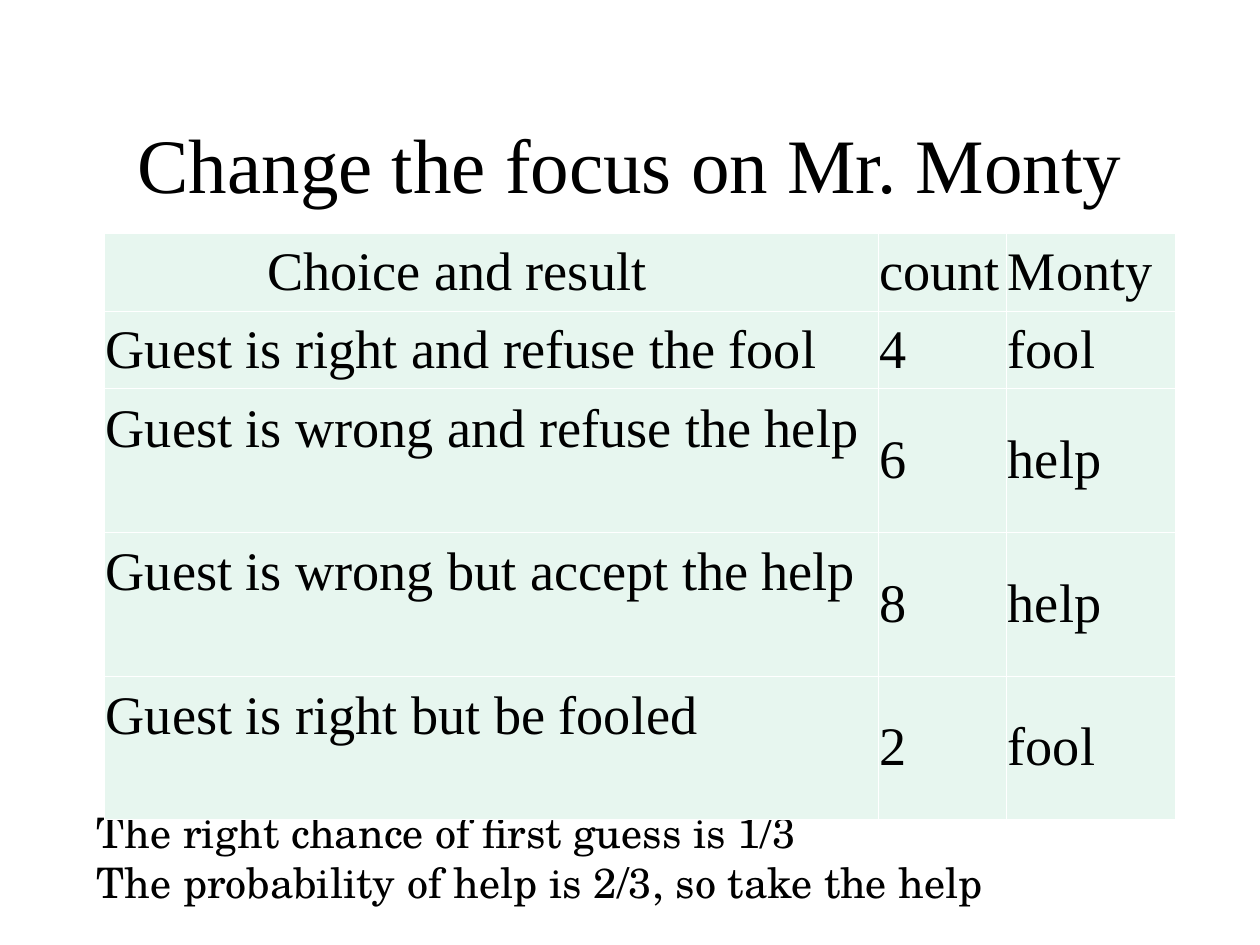
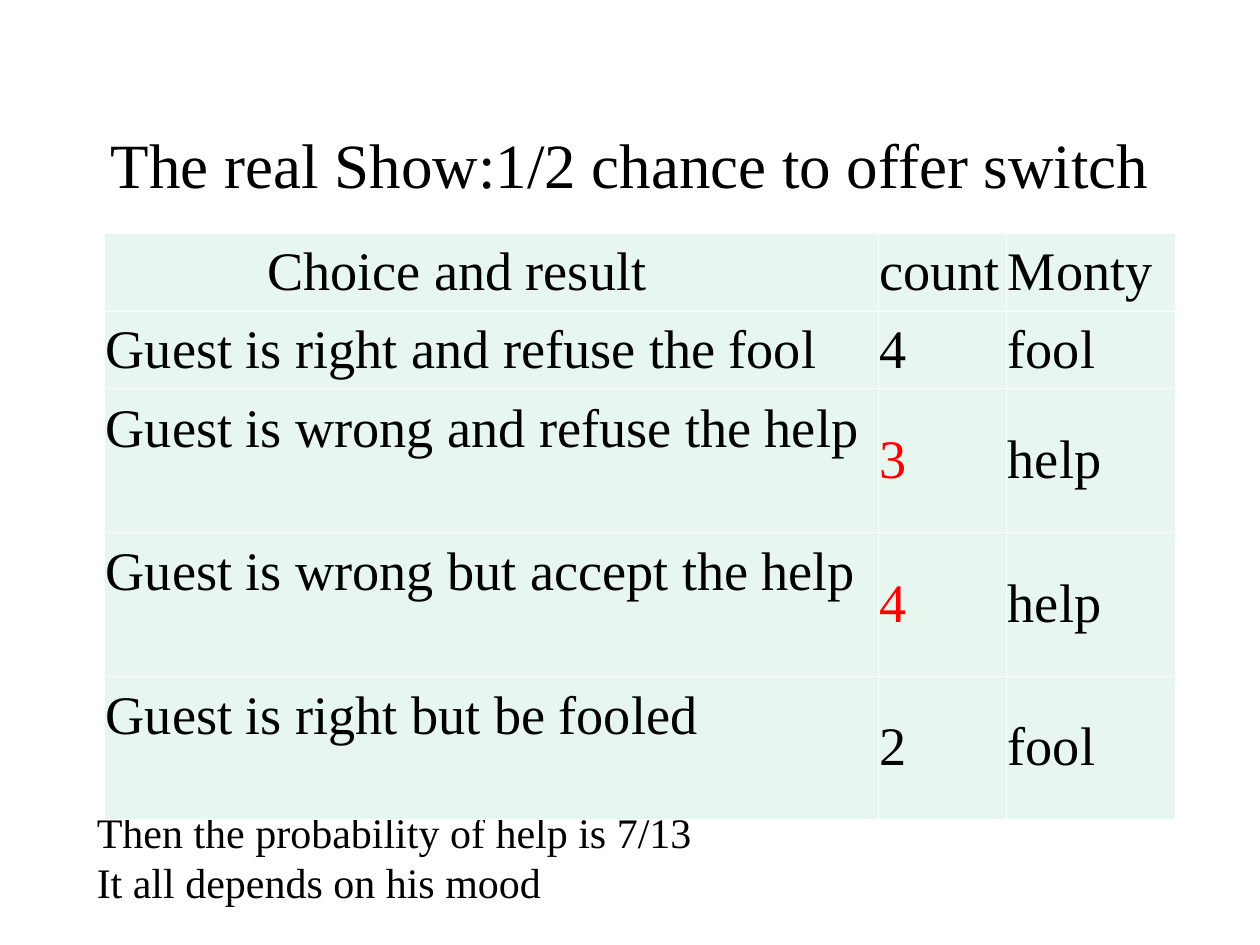
"""Builds two slides that count the outcomes of the Monty Hall game."""
from dataclasses import dataclass

from lxml import etree
from pptx import Presentation
from pptx.dml.color import RGBColor
from pptx.enum.text import MSO_ANCHOR, MSO_AUTO_SIZE, PP_ALIGN
from pptx.oxml.ns import qn
from pptx.util import Inches, Pt

MIDDLE = MSO_ANCHOR.MIDDLE
TOP = MSO_ANCHOR.TOP
CENTER = PP_ALIGN.CENTER
LEFT = PP_ALIGN.LEFT
NO_FIT = MSO_AUTO_SIZE.NONE
GROW = MSO_AUTO_SIZE.SHAPE_TO_FIT_TEXT
TITLE_ONLY = 5


@dataclass(frozen=True)
class Theme:
    font: str = "Times New Roman"
    book_font: str = "TeX Gyre Schola"
    ink: str = "000000"
    accent: str = "FF0000"
    cell: str = "E7F6EF"
    border: str = "FFFFFF"
    title_size: float = 44
    long_title_size: float = 36
    table_size: float = 31
    note_size: float = 24
    note_leading: float = 28.8
    border_width: float = 0.45


THEME = Theme()
COLUMN_WIDTHS = (6.14, 1.02, 1.34)
LOW_ROW, HIGH_ROW = 0.61, 1.14
ROW_HEIGHTS = (LOW_ROW, LOW_ROW, HIGH_ROW, HIGH_ROW, HIGH_ROW)
HEADER = ("Choice and result", "count", "Monty")
OUTCOMES = (
    ("Guest is right and refuse the fool", "fool"),
    ("Guest is wrong and refuse the help", "help"),
    ("Guest is wrong but accept the help", "help"),
    ("Guest is right but be fooled", "fool"),
)


class SlideBuilder:
    def __init__(self, deck, theme):
        self.deck = deck
        self.theme = theme
        self.page = None

    def new_page(self):
        self.page = self.deck.slides.add_slide(self.deck.slide_layouts[TITLE_ONLY])

    def add_span(self, para, text, size, font=None, color=None):
        span = para.add_run()
        span.text = text
        span.font.size = Pt(size)
        span.font.name = font or self.theme.font
        span.font.color.rgb = RGBColor.from_string(color or self.theme.ink)

    def title(self, text, size):
        box = self.page.shapes.title
        box.left, box.top = Inches(0.75), Inches(0.67)
        box.width, box.height = Inches(8.5), Inches(1.25)
        frame = box.text_frame
        frame.auto_size = NO_FIT
        frame.vertical_anchor = MIDDLE
        para = frame.paragraphs[0]
        para.alignment = CENTER
        self.add_span(para, text, size)

    def note(self, lines, font):
        box = self.page.shapes.add_textbox(
            Inches(0.67), Inches(6.35), Inches(8.66), Inches(0.9))
        frame = box.text_frame
        frame.word_wrap = True
        frame.auto_size = GROW
        for number, line in enumerate(lines):
            para = frame.add_paragraph() if number else frame.paragraphs[0]
            para.alignment = LEFT
            para.line_spacing = Pt(self.theme.note_leading)
            self.add_span(para, line, self.theme.note_size, font)

    def table(self, rows, accented_rows):
        table = self.page.shapes.add_table(
            len(rows), len(COLUMN_WIDTHS), Inches(0.83), Inches(1.85),
            Inches(sum(COLUMN_WIDTHS)), Inches(sum(ROW_HEIGHTS))).table
        table.first_row = table.horz_banding = False
        for column, width in zip(table.columns, COLUMN_WIDTHS):
            column.width = Inches(width)
        for row, height in zip(table.rows, ROW_HEIGHTS):
            row.height = Inches(height)
        for row_number, texts in enumerate(rows):
            for column_number, text in enumerate(texts):
                cell = table.cell(row_number, column_number)
                accented = column_number == 1 and row_number in accented_rows
                self.fill_cell(cell, text, self.theme.accent if accented else None)
        table.cell(0, 0).margin_left = Inches(1.29)
        for row_number, height in enumerate(ROW_HEIGHTS):
            if height == HIGH_ROW:
                cell = table.cell(row_number, 0)
                cell.vertical_anchor = TOP
                cell.margin_top = Inches(0.08)

    def fill_cell(self, cell, text, color):
        cell.margin_left = cell.margin_right = Inches(0.01)
        cell.margin_top = cell.margin_bottom = Inches(0.05)
        cell.vertical_anchor = MIDDLE
        self.border(cell)
        cell.fill.solid()
        cell.fill.fore_color.rgb = RGBColor.from_string(self.theme.cell)
        self.add_span(cell.text_frame.paragraphs[0], text, self.theme.table_size,
                      color=color)

    def border(self, cell):
        properties = cell._tc.get_or_add_tcPr()
        for side in ("a:lnL", "a:lnR", "a:lnT", "a:lnB"):
            line = etree.SubElement(properties, qn(side),
                                    w=str(Pt(self.theme.border_width)))
            fill = etree.SubElement(line, qn("a:solidFill"))
            etree.SubElement(fill, qn("a:srgbClr"), val=self.theme.border)


def outcome_rows(counts):
    return [HEADER] + [(choice, count, act)
                       for (choice, act), count in zip(OUTCOMES, counts)]


def main():
    deck = Presentation()
    deck.slide_width, deck.slide_height = Inches(10), Inches(7.5)
    builder = SlideBuilder(deck, THEME)
    pages = (
        ("Change the focus on Mr. Monty", THEME.title_size, "4682", (),
         ("The right chance of first guess is 1/3",
          "The probability of help is 2/3, so take the help"), THEME.book_font),
        ("The real Show:1/2 chance to offer switch", THEME.long_title_size,
         "4342", (2, 3),
         ("Then the probability of help is 7/13",
          "It all depends on his mood"), THEME.font),
    )
    for title, size, counts, accented_rows, lines, font in pages:
        builder.new_page()
        builder.title(title, size)
        builder.note(lines, font)
        builder.table(outcome_rows(counts), accented_rows)
    deck.save("out.pptx")


if __name__ == "__main__":
    main()
